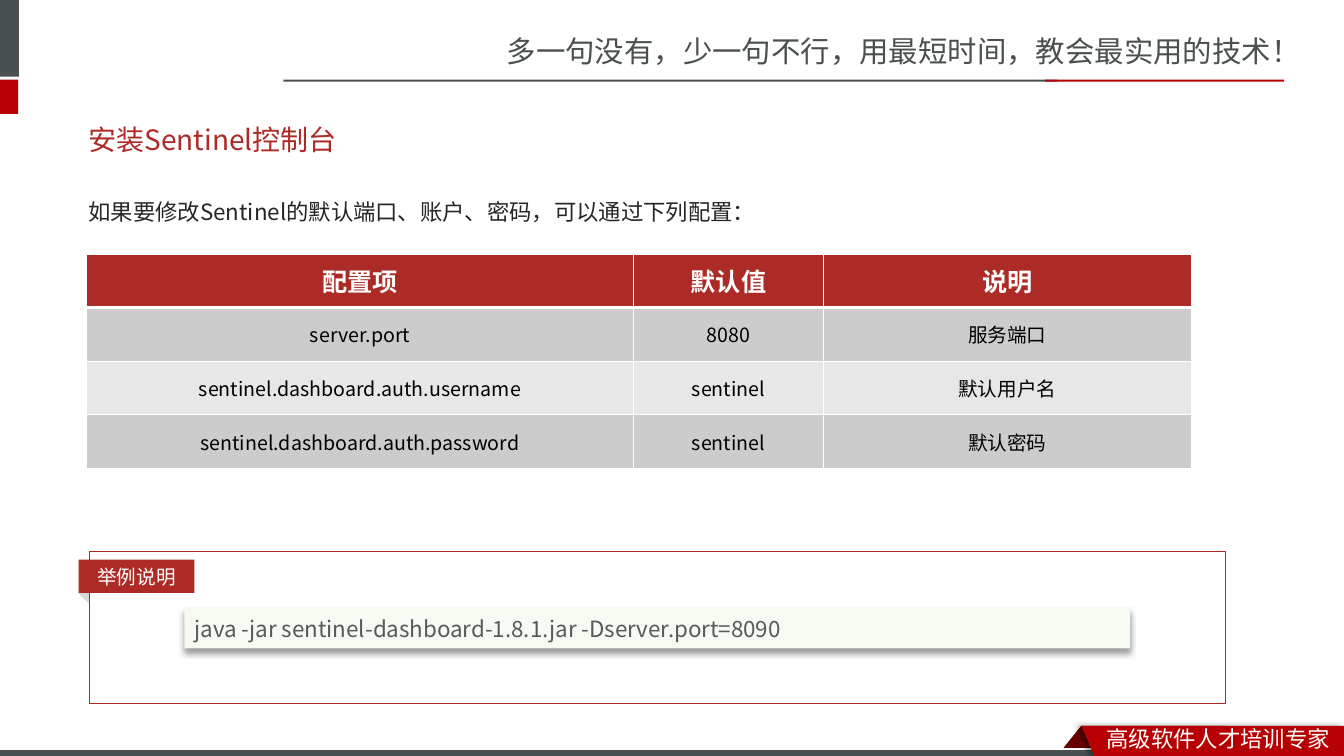
"""Build the slide on changing the Sentinel console's default settings."""
import pptx
import pptx.dml.color
import pptx.enum.shapes
import pptx.enum.text
import pptx.oxml
import pptx.oxml.ns
import pptx.util

Cm = pptx.util.Cm
Pt = pptx.util.Pt
KIND = pptx.enum.shapes.MSO_SHAPE
ALIGN = pptx.enum.text.PP_ALIGN
MIDDLE = pptx.enum.text.MSO_ANCHOR.MIDDLE
FONT = "Noto Sans CJK SC"
HUES = {
    "slate": "49504F", "red": "B60004", "dark": "680000", "brick": "AD2A26",
    "head": "AD2B26", "odd": "CCCCCC", "even": "E7E7E7", "fold": "D9D9D9",
    "mint": "F5FAF2", "code": "595959", "body": "262626", "black": "000000",
    "white": "FFFFFF",
}
ROWS = [
    ("配置项", "默认值", "说明"),
    ("server.port", "8080", "服务端口"),
    ("sentinel.dashboard.auth.username", "sentinel", "默认用户名"),
    ("sentinel.dashboard.auth.password", "sentinel", "默认密码"),
]
COLS = (13.79, 4.78, 9.27)
BARS = [
    (0, 18.85, 33.87, 0.2, "white"),
    (0, 0, 0.48, 1.93, "slate"),
    (0, 2.01, 0.46, 0.86, "red"),
    (7.14, 2.01, 19.51, 0.05, "slate"),
    (26.34, 2.01, 6.02, 0.05, "red"),
    (0, 18.9, 27.91, 0.15, "slate"),
]


def color(name):
    return pptx.dml.color.RGBColor.from_string(HUES[name])


def paint(shape, fill=None, line=None):
    shape.shadow.inherit = False
    if fill:
        shape.fill.solid()
        shape.fill.fore_color.rgb = color(fill)
    else:
        shape.fill.background()
    if line:
        shape.line.color.rgb = color(line)
        shape.line.width = Pt(0.75)
    else:
        shape.line.fill.background()
    return shape


def block(slide, box, fill=None, line=None, kind=KIND.RECTANGLE):
    return paint(slide.shapes.add_shape(kind, *map(Cm, box)), fill, line)


def shade(shape, angle):
    list_el = shape._element.spPr.find(pptx.oxml.ns.qn("a:effectLst"))
    list_el.append(pptx.oxml.parse_xml(
        f'<a:outerShdw {pptx.oxml.ns.nsdecls("a")} blurRad="{Pt(4)}" '
        f'dist="{Pt(3)}" dir="{angle * 60000}" algn="ctr" rotWithShape="0">'
        f'<a:srgbClr val="{HUES["black"]}"><a:alpha val="40000"/>'
        '</a:srgbClr></a:outerShdw>'))


def write(frame, text, size, hue, align=ALIGN.LEFT, bold=False):
    para = frame.paragraphs[0]
    para.alignment = align
    run = para.add_run()
    run.text = text
    run.font.size = Pt(size)
    run.font.bold = bold
    run.font.name = FONT
    run.font.color.rgb = color(hue)
    run.font._element.append(pptx.oxml.parse_xml(
        f'<a:ea {pptx.oxml.ns.nsdecls("a")} typeface="{FONT}"/>'))
    return para


def label(slide, box, text, size, hue, anchor=None):
    frame = slide.shapes.add_textbox(*map(Cm, box)).text_frame
    frame.word_wrap = True
    frame.vertical_anchor = anchor
    return write(frame, text, size, hue)


def edge(cell, top, base):
    sides = {"L": 1, "R": 1, "T": top, "B": base}
    for spot, (side, width) in enumerate(sides.items()):
        cell._tc.get_or_add_tcPr().insert(spot, pptx.oxml.parse_xml(
            f'<a:ln{side} {pptx.oxml.ns.nsdecls("a")} w="{Pt(width)}">'
            f'<a:solidFill><a:srgbClr val="{HUES["white"]}"/></a:solidFill>'
            f'</a:ln{side}>'))


def grid(slide, left, top, high):
    table = slide.shapes.add_table(
        len(ROWS), len(COLS), Cm(left), Cm(top),
        Cm(sum(COLS)), Cm(high * len(ROWS))).table
    for col, wide in zip(table.columns, COLS):
        col.width = Cm(wide)
    for i, row in enumerate(ROWS):
        head = i == 0
        fill = "head" if head else "odd" if i % 2 else "even"
        for j, text in enumerate(row):
            cell = table.cell(i, j)
            cell.fill.solid()
            cell.fill.fore_color.rgb = color(fill)
            cell.vertical_anchor = MIDDLE
            write(cell.text_frame, text, 18 if head else 14,
                  "white" if head else "black", ALIGN.CENTER, head)
            edge(cell, 3 if i == 1 else 1, 3 if head else 1)


def ribbon(slide):
    pen = slide.shapes.build_freeform(Cm(27.25), Cm(18.29))
    pen.add_line_segments([(Cm(x), Cm(y)) for x, y in (
        (33.87, 18.29), (33.87, 19.05), (27.58, 19.05))])
    shade(paint(pen.convert_to_shape(), "red"), 180)
    label(slide, (27.64, 18.16, 6.22, 0.94), "高级软件人才培训专家", 16, "white")


def brand(slide):
    flap = block(slide, (26.64, 18.29, 4.27, 0.76), "dark",
                 kind=KIND.PARALLELOGRAM)
    flap.adjustments[0] = 0.8
    for *box, fill in BARS:
        block(slide, box, fill)
    label(slide, (12.52, 0.71, 21.35, 1.19),
          "多一句没有，少一句不行，用最短时间，教会最实用的技术！", 21, "slate")
    ribbon(slide)


def sample(slide):
    fold = block(slide, (1.98, 14.88, 0.41, 0.23), "fold",
                 kind=KIND.ISOSCELES_TRIANGLE)
    fold.rotation = 44.2
    block(slide, (2.26, 13.89, 28.63, 3.84), line="head")
    tag = block(slide, (1.98, 14.1, 2.92, 0.84), "head")
    write(tag.text_frame, "举例说明", 14, "white", ALIGN.CENTER)
    code = block(slide, (4.65, 15.32, 23.83, 1.02), "mint")
    shade(code, 90)
    write(code.text_frame,
          "java -jar sentinel-dashboard-1.8.1.jar -Dserver.port=8090",
          16, "code")


def main():
    deck = pptx.Presentation()
    deck.slide_width, deck.slide_height = Cm(33.87), Cm(19.05)
    slide = deck.slides.add_slide(deck.slide_layouts[6])
    brand(slide)
    label(slide, (1.98, 2.79, 29.72, 1.45), "安装Sentinel控制台",
          20, "brick", MIDDLE)
    intro = label(slide, (1.98, 4.52, 29.72, 1.6),
                  "如果要修改Sentinel的默认端口、账户、密码，可以通过下列配置：",
                  16, "body")
    intro.line_spacing = 1.5
    grid(slide, 2.18, 6.4, 1.35)
    sample(slide)
    deck.save("out.pptx")


if __name__ == "__main__":
    main()
